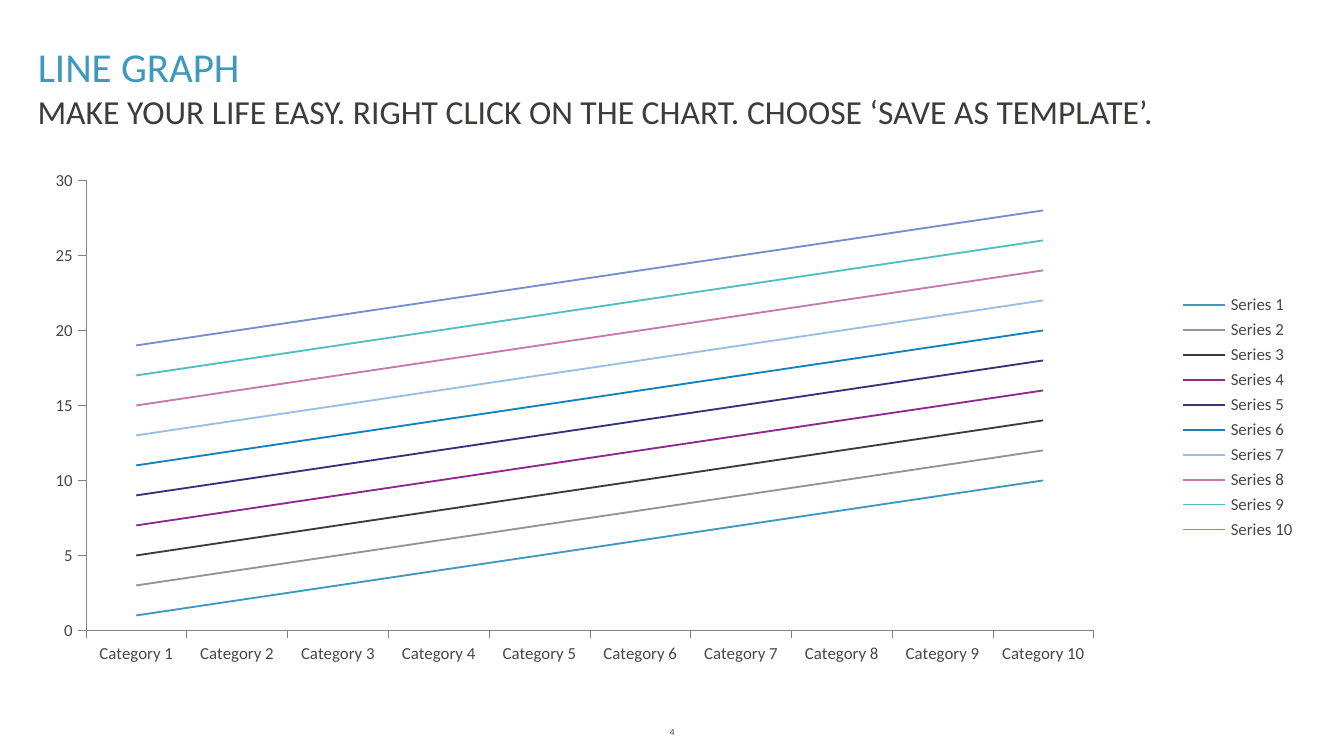
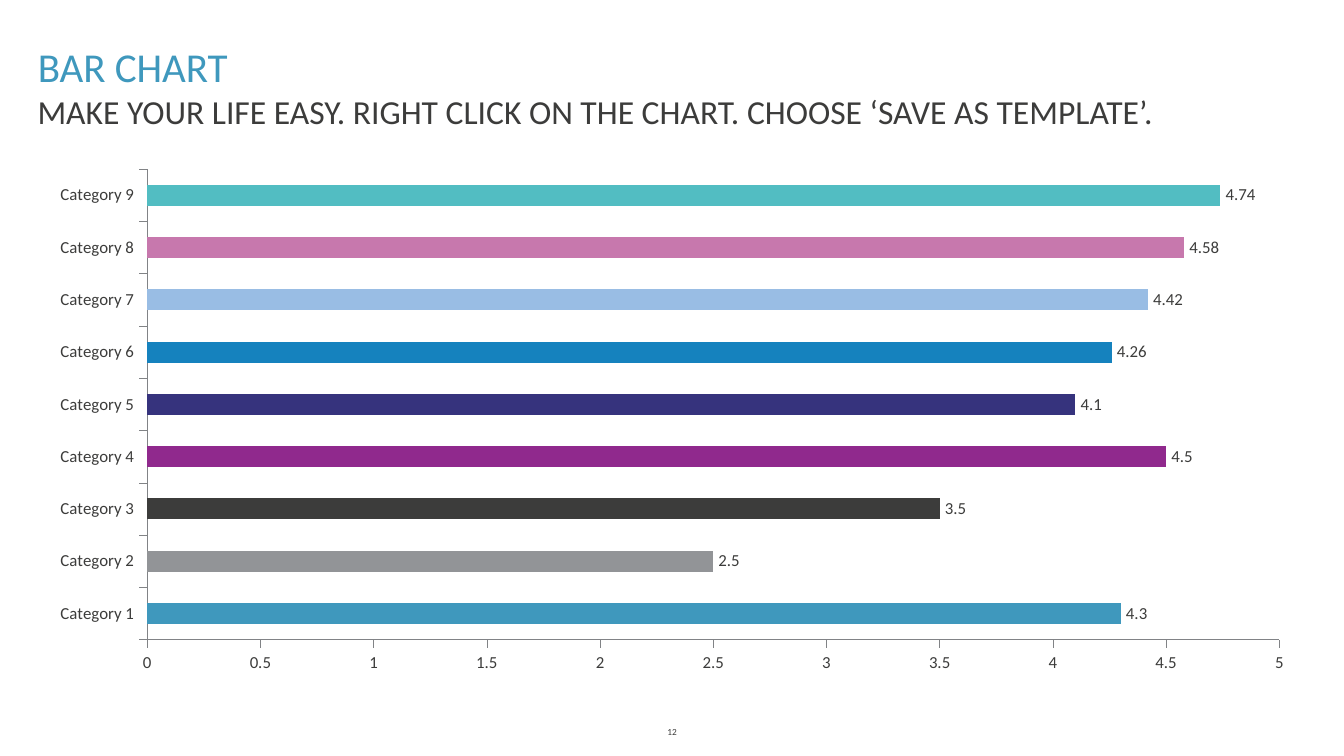
from dataclasses import dataclass

from lxml.etree import SubElement
from pptx import Presentation
from pptx.chart.chart import Chart
from pptx.chart.data import CategoryChartData
from pptx.dml.color import RGBColor
from pptx.enum.chart import XL_CHART_TYPE, XL_LABEL_POSITION, XL_LEGEND_POSITION, XL_TICK_MARK
from pptx.enum.text import MSO_ANCHOR, PP_ALIGN
from pptx.oxml.ns import qn
from pptx.presentation import Presentation as Deck
from pptx.slide import Slide
from pptx.text.text import TextFrame
from pptx.util import Cm, Pt

FONT = "Calibri"
TITLE_BLUE = "3F98BD"
DARK = "3C3C3B"
CHART_GREY = "464749"
AXIS_GREY = "818386"
PALETTE = [TITLE_BLUE, "929497", DARK, "90298D", "36337D",
           "1582BE", "99BDE4", "C778AD", "52BDC2", "758ECD"]
SUBTITLE = "MAKE YOUR LIFE EASY. RIGHT CLICK ON THE CHART. CHOOSE ‘SAVE AS TEMPLATE’."


@dataclass(frozen=True)
class Box:
    left: float
    top: float
    width: float
    height: float

    def lengths(self) -> tuple[Cm, Cm, Cm, Cm]:
        return Cm(self.left), Cm(self.top), Cm(self.width), Cm(self.height)


@dataclass(frozen=True)
class ChartPage:
    title: str
    number: str
    kind: XL_CHART_TYPE
    box: Box
    text_color: str
    series: list[list[float]]


TITLE_BOX = Box(0.46, 0.66, 24.31, 1.19)
SUBTITLE_BOX = Box(0.46, 1.6, 24.31, 1.02)
NUMBER_BOX = Box(11.51, 13.59, 2.39, 0.48)

LINE_PAGE = ChartPage(
    "LINE GRAPH", "4", XL_CHART_TYPE.LINE, Box(0.66, 3, 24.08, 9.78), CHART_GREY,
    [list(range(start, start + 10)) for start in range(1, 20, 2)],
)
BAR_PAGE = ChartPage(
    "BAR CHART", "12", XL_CHART_TYPE.BAR_CLUSTERED, Box(0.66, 3, 24.08, 9.91), DARK,
    [[4.3, 2.5, 3.5, 4.5, 4.1, 4.26, 4.42, 4.58, 4.74]],
)


def rgb(color: str) -> RGBColor:
    return RGBColor.from_string(color)


def write_text(frame: TextFrame, text: str, *, size: float, color: str = DARK,
               align: PP_ALIGN = PP_ALIGN.LEFT, anchor: MSO_ANCHOR = MSO_ANCHOR.TOP) -> None:
    frame.word_wrap = True
    frame.vertical_anchor = anchor
    paragraph = frame.paragraphs[0]
    paragraph.alignment = align
    run = paragraph.add_run()
    run.text = text
    run.font.name = FONT
    run.font.size = Pt(size)
    run.font.color.rgb = rgb(color)


def add_text(slide: Slide, box: Box, text: str, **text_format) -> None:
    write_text(slide.shapes.add_textbox(*box.lengths()).text_frame, text, **text_format)


def add_chart(slide: Slide, page: ChartPage) -> Chart:
    data = CategoryChartData(number_format="General")
    data.categories = [f"Category {index}" for index in range(1, len(page.series[0]) + 1)]
    for index, values in enumerate(page.series, start=1):
        data.add_series(f"Series {index}", values)
    chart = slide.shapes.add_chart(page.kind, *page.box.lengths(), data).chart
    chart.has_title = False
    chart.has_legend = False
    chart.font.name = FONT
    chart.font.size = Pt(9)
    chart.font.color.rgb = rgb(page.text_color)
    chart.plots[0].vary_by_categories = False
    for axis in (chart.category_axis, chart.value_axis):
        axis.has_major_gridlines = False
        axis.major_tick_mark = XL_TICK_MARK.OUTSIDE
        axis.minor_tick_mark = XL_TICK_MARK.NONE
        axis.format.line.color.rgb = rgb(AXIS_GREY)
        axis.format.line.width = Pt(0.25)
    return chart


def set_inner_plot(chart: Chart, left: float, top: float, width: float, height: float) -> None:
    plot_area = chart.plots[0]._element.getparent()
    layout = plot_area.find(qn("c:layout"))
    if layout is None:
        layout = plot_area.makeelement(qn("c:layout"))
        plot_area.insert(0, layout)
    manual = SubElement(layout, qn("c:manualLayout"))
    settings = {"layoutTarget": "inner", "xMode": "edge", "yMode": "edge",
                "x": left, "y": top, "w": width, "h": height}
    for name, value in settings.items():
        SubElement(manual, qn(f"c:{name}")).set("val", str(value))


def style_lines(chart: Chart) -> None:
    for series, color in zip(chart.plots[0].series, PALETTE):
        series.smooth = False
        series.format.line.color.rgb = rgb(color)
        series.format.line.width = Pt(1)
    chart.has_legend = True
    chart.legend.position = XL_LEGEND_POSITION.RIGHT
    chart.legend.include_in_layout = False
    set_inner_plot(chart, 0.04, 0.042, 0.791, 0.87)


def style_bars(chart: Chart) -> None:
    plot = chart.plots[0]
    plot.gap_width = 150
    series = plot.series[0]
    for index in range(len(series.values)):
        fill = series.points[index].format.fill
        fill.solid()
        fill.fore_color.rgb = rgb(PALETTE[index])
    plot.has_data_labels = True
    plot.data_labels.show_value = True
    plot.data_labels.position = XL_LABEL_POSITION.OUTSIDE_END


def add_page(presentation: Deck, page: ChartPage) -> Chart:
    slide = presentation.slides.add_slide(presentation.slide_layouts[5])
    title = slide.shapes.title
    title.left, title.top, title.width, title.height = TITLE_BOX.lengths()
    write_text(title.text_frame, page.title, size=22, color=TITLE_BLUE, anchor=MSO_ANCHOR.BOTTOM)
    chart = add_chart(slide, page)
    add_text(slide, NUMBER_BOX, page.number, size=5,
             align=PP_ALIGN.CENTER, anchor=MSO_ANCHOR.MIDDLE)
    add_text(slide, SUBTITLE_BOX, SUBTITLE, size=18)
    return chart


def main() -> None:
    presentation = Presentation()
    presentation.slide_width = Cm(25.4)
    presentation.slide_height = Cm(14.29)
    style_lines(add_page(presentation, LINE_PAGE))
    style_bars(add_page(presentation, BAR_PAGE))
    presentation.save("out.pptx")


if __name__ == "__main__":
    main()
